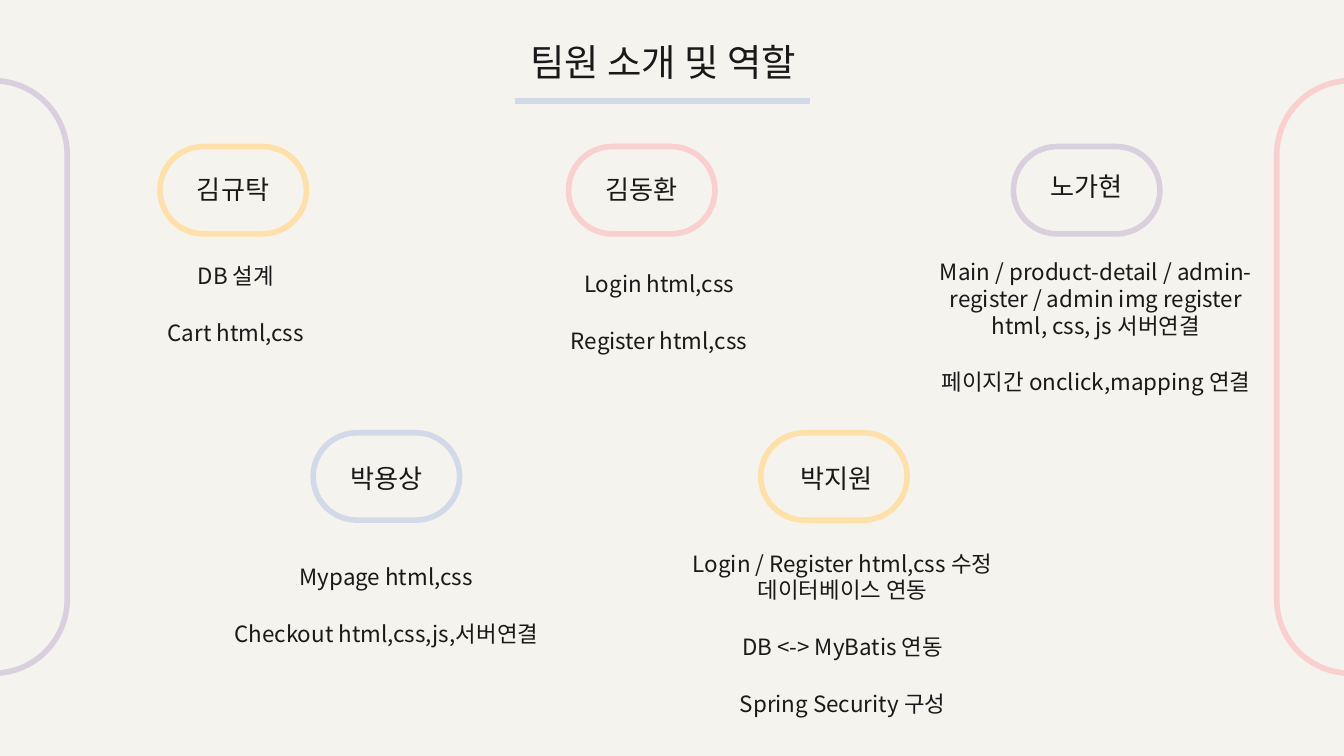
from lxml import etree
from pptx import Presentation
from pptx import util as u
from pptx.dml.color import RGBColor
from pptx.enum import shapes, text
from pptx.oxml.ns import qn

FONT = "Noto Sans CJK KR"
INK, PAPER = "191919", "F5F3ED"
YELLOW, PINK, PURPLE, BLUE = "FFE0A7", "F9CFD0", "D9CFDE", "D2DAE9"
PILL_SIZE = (1.09, 0.65)
NAME_SIZE = (0.93, 0.65)

# name, colour, pill position, name position, roles box, roles
MEMBERS = [
    ("김규탁", YELLOW, (1.19, 1.09), (1.27, 1.19), (0.76, 1.85, 1.99, 1.04),
     ["DB 설계", "Cart html,css"]),
    ("김동환", PINK, (4.23, 1.09), (4.31, 1.19), (3.91, 1.91, 1.99, 0.98),
     ["Login html,css", "Register html,css"]),
    ("노가현", PURPLE, (7.54, 1.09), (7.62, 1.17), (6.86, 1.82, 2.59, 1.3),
     ["Main / product-detail / admin-register / admin img register html, css, js 서버연결",
      "페이지간 onclick,mapping 연결"]),
    ("박용상", BLUE, (2.33, 3.22), (2.41, 3.34), (1.64, 4.09, 2.47, 1.3),
     ["Mypage html,css", "Checkout html,css,js,서버연결"]),
    ("박지원", YELLOW, (5.66, 3.22), (5.76, 3.34), (4.82, 3.99, 2.9, 1.3),
     ["Login / Register html,css 수정 데이터베이스 연동",
      "DB <-> MyBatis 연동", "Spring Security 구성"]),
]


def colour(value):
    return RGBColor.from_string(value)


def inches(values):
    return [u.Inches(value) for value in values]


def add_outline(slide, box, line_colour):
    """Add an unfilled shape with fully rounded ends."""
    shape = slide.shapes.add_shape(shapes.MSO_SHAPE.ROUNDED_RECTANGLE, *inches(box))
    shape.adjustments[0] = 0.5
    shape.shadow.inherit = False
    shape.fill.background()
    shape.line.color.rgb = colour(line_colour)
    shape.line.width = u.Pt(3)


def add_underline(slide, left, right, top):
    line = slide.shapes.add_connector(
        shapes.MSO_CONNECTOR.STRAIGHT, *inches((left, top, right, top)))
    line.line.color.rgb = colour(BLUE)
    line.line.width = u.Pt(3)
    etree.SubElement(line._element.spPr, qn("a:effectLst"))


def remove_bullet(paragraph):
    properties = paragraph._p.get_or_add_pPr()
    properties.set("marL", "0")
    properties.set("indent", "0")
    etree.SubElement(properties, qn("a:buNone"))


def write_text(shape, box, lines, size, space_after=0):
    """Place a text shape and fill it with centred paragraphs."""
    shape.left, shape.top, shape.width, shape.height = inches(box)
    frame = shape.text_frame
    frame.text = "\n".join(lines)
    frame.word_wrap = True
    frame.auto_size = text.MSO_AUTO_SIZE.NONE
    frame.vertical_anchor = text.MSO_ANCHOR.TOP
    frame.margin_left = frame.margin_right = u.Inches(0.1)
    frame.margin_top = frame.margin_bottom = u.Inches(0.1)
    for paragraph in frame.paragraphs:
        paragraph.alignment = text.PP_ALIGN.CENTER
        paragraph.line_spacing = 1.0
        paragraph.space_before = u.Pt(0)
        paragraph.space_after = u.Pt(space_after)
        remove_bullet(paragraph)
        for run in paragraph.runs:
            run.font.size = u.Pt(size)
            run.font.name = FONT
            run.font.color.rgb = colour(INK)
            east_asian = etree.SubElement(run.font._element, qn("a:ea"))
            east_asian.set("typeface", FONT)


def add_text_box(slide, box):
    return slide.shapes.add_textbox(*inches(box))


def main():
    presentation = Presentation()
    presentation.slide_width = u.Inches(10)
    presentation.slide_height = u.Inches(10 * 9 / 16)
    slide = presentation.slides.add_slide(presentation.slide_layouts[1])
    slide.background.fill.solid()
    slide.background.fill.fore_color.rgb = colour(PAPER)

    # Side frames that run off the slide
    for left, frame_colour in ((-0.6, PURPLE), (9.5, PINK)):
        add_outline(slide, (left, 0.6, 1.1, 4.41), frame_colour)

    # Title and underline
    write_text(slide.shapes.title, (0.72, 0.19, 8.43, 0.63), ["팀원 소개 및 역할"], 20)
    add_underline(slide, 3.83, 6.03, 0.75)

    # Team members; the first list uses the body placeholder
    body = slide.placeholders[1]
    for index, (name, pill_colour, pill, label, roles_box, roles) in enumerate(MEMBERS):
        add_outline(slide, pill + PILL_SIZE, pill_colour)
        name_box = label + NAME_SIZE
        write_text(add_text_box(slide, name_box), name_box, [name], 14)
        roles_shape = body if index == 0 else add_text_box(slide, roles_box)
        write_text(roles_shape, roles_box, roles, 12, space_after=16)

    presentation.save("out.pptx")


if __name__ == "__main__":
    main()
